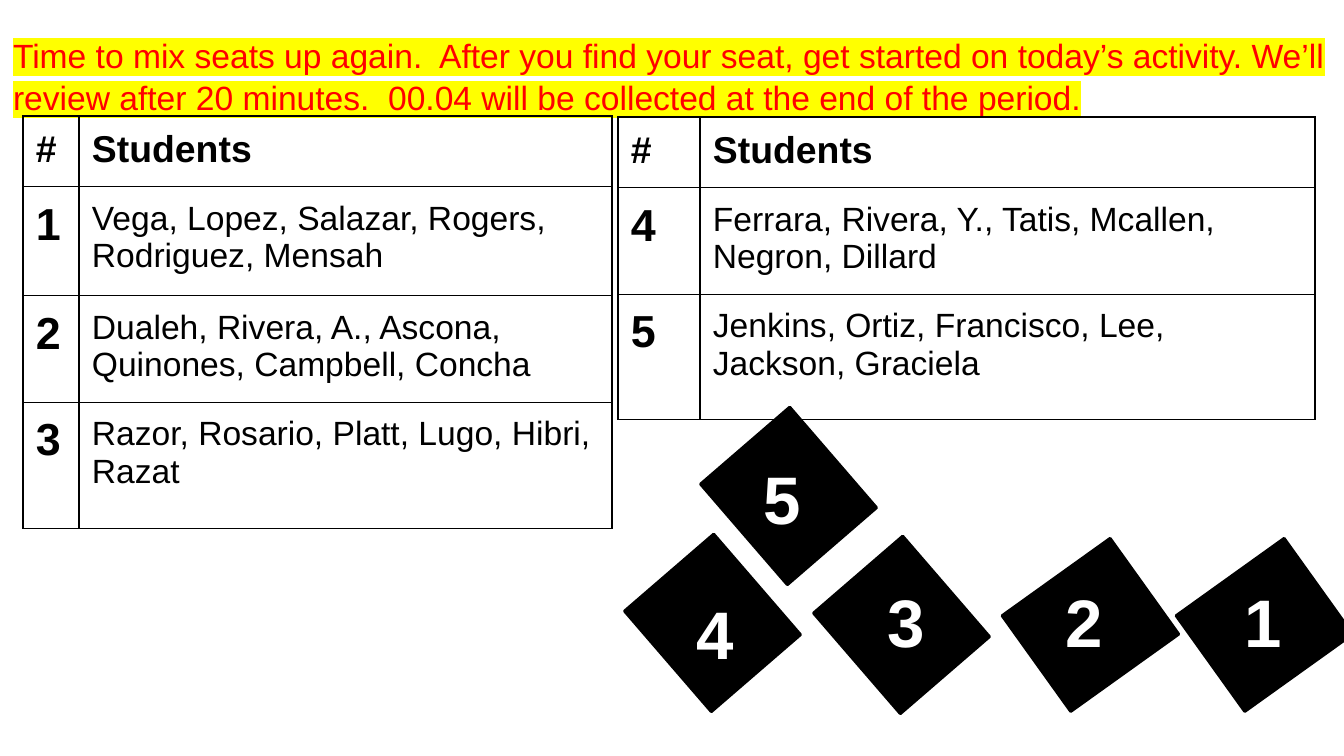
from lxml import etree
from pptx import Presentation
from pptx.dml.color import RGBColor
from pptx.enum.shapes import MSO_SHAPE
from pptx.enum.text import MSO_ANCHOR, MSO_AUTO_SIZE, PP_ALIGN
from pptx.oxml import parse_xml
from pptx.oxml.ns import nsdecls, qn
from pptx.util import Emu, Pt

RECT = MSO_SHAPE.RECTANGLE
TOP = MSO_ANCHOR.TOP
NO_FIT = MSO_AUTO_SIZE.NONE
LEFT = PP_ALIGN.LEFT

BLACK = RGBColor(0x00, 0x00, 0x00)
WHITE = RGBColor(0xFF, 0xFF, 0xFF)
RED = RGBColor(0xFF, 0x00, 0x00)
YELLOW = RGBColor(0xFF, 0xFF, 0x00)
FONT = "Arial"
INSET = 13

NOTICE = ("Time to mix seats up again.  After you find your seat, get started on "
          "today’s activity. We’ll review after 20 minutes.  00.04 will be collected "
          "at the end of the period.")
HEADER = ("#", "Students")
TABLES = [
    {"at": (23, 116), "cols": (56, 533), "rows": (68, 109, 102, 126), "groups": [
        ("1", "Vega, Lopez, Salazar, Rogers, Rodriguez, Mensah"),
        ("2", "Dualeh, Rivera, A., Ascona, Quinones, Campbell, Concha"),
        ("3", "Razor, Rosario, Platt, Lugo, Hibri, Razat")]},
    {"at": (618, 117), "cols": (82, 615), "rows": (68, 102, 125), "groups": [
        ("4", "Ferrara, Rivera, Y., Tatis, Mcallen, Negron, Dillard"),
        ("5", "Jenkins, Ortiz, Francisco, Lee, Jackson, Graciela")]},
]
DESK_SIZE = (133, 118)
LABEL_SIZE = (63, 94)
DESKS = [
    ("1", (1198, 566), 324.4, (1232, 567)),
    ("2", (1024, 566), 324.4, (1053, 567)),
    ("3", (835, 566), 49.2, (874, 567)),
    ("4", (646, 564), 49.2, (683, 579)),
    ("5", (722, 437), 49.2, (750, 444)),
]


def px(n):
    return Emu(round(n * 914400 / 134.4))


def box(at, size):
    return [px(n) for n in (*at, *size)]


def inset(target):
    target.margin_left = target.margin_right = px(INSET)
    target.margin_top = target.margin_bottom = px(INSET)


def write(tf, text, size, color, bold=False):
    tf.text = text
    p = tf.paragraphs[0]
    p.alignment = LEFT
    p.font.name = FONT
    p.font.size = Pt(size)
    p.font.bold = bold
    p.font.color.rgb = color
    return p


def add_notice(s):
    sp = s.shapes.title
    sp.left, sp.top, sp.width, sp.height = box((0, 20), (1344, 88))
    tf = sp.text_frame
    tf.word_wrap = True
    tf.auto_size = NO_FIT
    tf.vertical_anchor = TOP
    inset(tf)
    p = write(tf, NOTICE, 18, RED)
    p.line_spacing = 1.05
    mark = etree.SubElement(p.runs[0].font._element, qn("a:highlight"))
    etree.SubElement(mark, qn("a:srgbClr"), val=str(YELLOW))


def add_desk(s, at, angle):
    sp = s.shapes.add_shape(RECT, *box(at, DESK_SIZE))
    sp.rotation = angle
    sp.shadow.inherit = False
    sp.fill.solid()
    sp.fill.fore_color.rgb = BLACK
    sp.line.color.rgb = BLACK
    sp.line.width = Pt(1.5)


def add_label(s, text, at):
    tf = s.shapes.add_textbox(*box(at, LABEL_SIZE)).text_frame
    tf.word_wrap = True
    inset(tf)
    write(tf, text, 36, WHITE, True)


def add_borders(cell):
    tcPr = cell._tc.get_or_add_tcPr()
    for i, side in enumerate("LRTB"):
        tcPr.insert(i, parse_xml(
            f'<a:ln{side} {nsdecls("a")} w="{Pt(0.75)}"><a:solidFill>'
            f'<a:srgbClr val="{BLACK}"/></a:solidFill></a:ln{side}>'))


def add_seating(s, at, cols, rows, groups):
    size = (sum(cols), sum(rows))
    table = s.shapes.add_table(len(rows), len(cols), *box(at, size)).table
    table.first_row = table.horz_banding = False
    for col, width in zip(table.columns, cols):
        col.width = px(width)
    for row, height in zip(table.rows, rows):
        row.height = px(height)
    for i, values in enumerate([HEADER, *groups]):
        for j, text in enumerate(values):
            cell = table.cell(i, j)
            cell.fill.background()
            inset(cell)
            add_borders(cell)
            size = 20 if i == 0 else (24, 18)[j]
            write(cell.text_frame, text, size, BLACK, i == 0 or j == 0)


def main():
    prs = Presentation()
    prs.slide_width, prs.slide_height = px(1344), px(756)
    s = prs.slides.add_slide(prs.slide_layouts[5])
    add_notice(s)
    for number, at, angle, label_at in DESKS:
        add_desk(s, at, angle)
    for number, at, angle, label_at in DESKS:
        add_label(s, number, label_at)
    for seating in TABLES:
        add_seating(s, **seating)
    prs.save("out.pptx")


if __name__ == "__main__":
    main()
